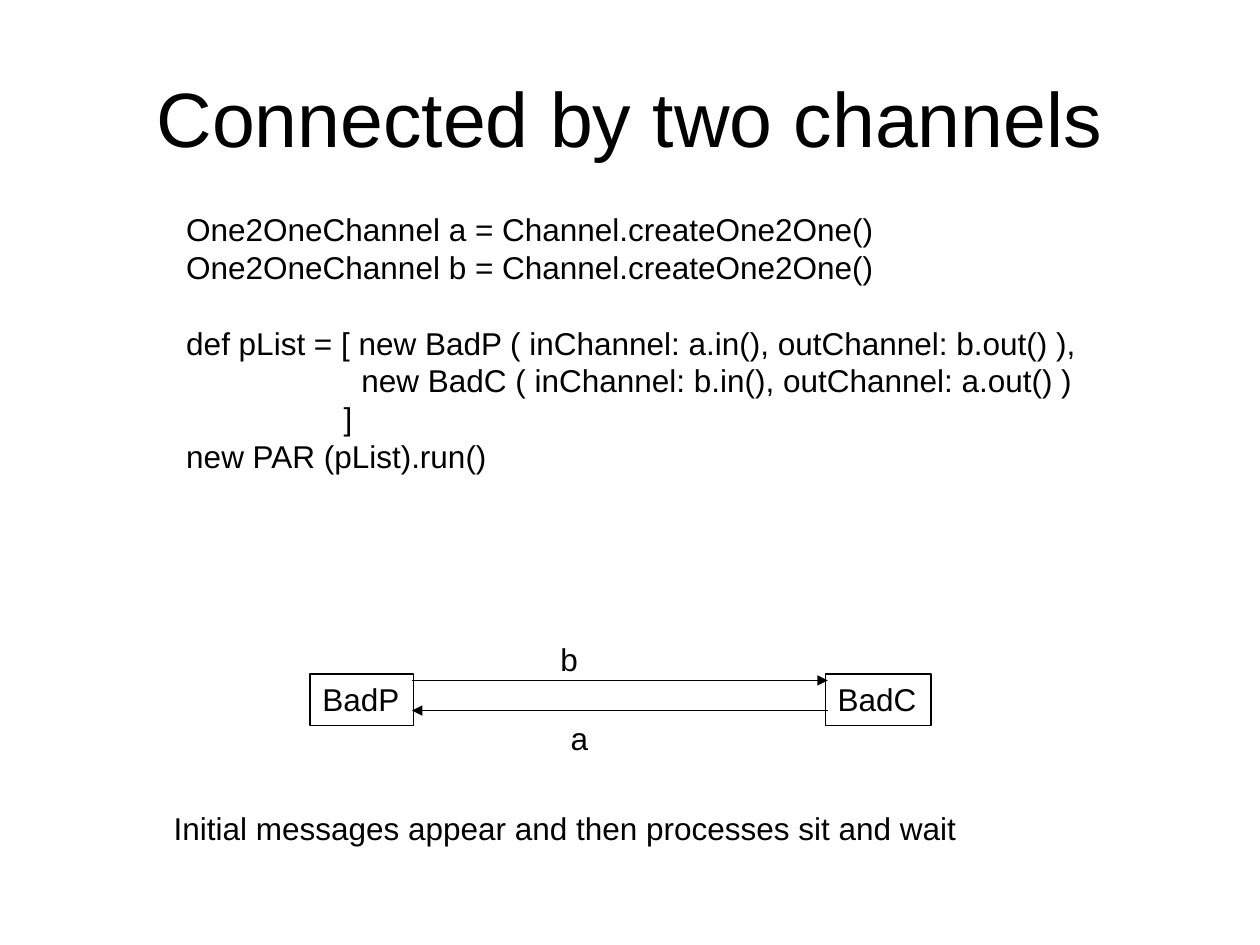
from dataclasses import dataclass

import lxml.etree
import pptx
import pptx.dml.color
import pptx.enum.shapes
import pptx.enum.text
import pptx.oxml.ns
import pptx.util

Inches = pptx.util.Inches
Pt = pptx.util.Pt
ALIGN = pptx.enum.text.PP_ALIGN
ANCHOR = pptx.enum.text.MSO_ANCHOR
FIT = pptx.enum.text.MSO_AUTO_SIZE

COLORS = {"ink": "000000", "paper": "FFFFFF"}
LINE_FACTOR = 1.2
BODY_SIZE = 18


@dataclass(frozen=True)
class Line:
    text: str
    indent: float = 0
    blank_before: int = 0


@dataclass(frozen=True)
class Block:
    left: float
    top: float
    width: float
    height: float
    lines: tuple[Line, ...]
    boxed: bool = False


@dataclass(frozen=True)
class Arrow:
    start: float
    end: float
    y: float


def color(key: str) -> pptx.dml.color.RGBColor:
    return pptx.dml.color.RGBColor.from_string(COLORS[key])


def apply(target: object, values: dict) -> None:
    for attribute, value in values.items():
        setattr(target, attribute, value)


def write(frame, lines: tuple[Line, ...], size: float, align=ALIGN.LEFT) -> None:
    pitch = Pt(size * LINE_FACTOR)
    for index, line in enumerate(lines):
        paragraph = frame.add_paragraph() if index else frame.paragraphs[0]
        apply(paragraph, {
            "alignment": align,
            "line_spacing": pitch,
            "space_before": pitch * line.blank_before,
        })
        if line.indent:
            paragraph._p.get_or_add_pPr().set("marL", str(Inches(line.indent)))
        run = paragraph.add_run()
        run.text = line.text
        apply(run.font, {"name": "Arial", "size": Pt(size)})
        run.font.color.rgb = color("ink")


def draw_block(slide, block: Block) -> None:
    bounds = [Inches(v) for v in (block.left, block.top, block.width, block.height)]
    if block.boxed:
        holder = slide.shapes.add_shape(pptx.enum.shapes.MSO_SHAPE.RECTANGLE, *bounds)
        holder.shadow.inherit = False
        holder.fill.background()
        holder.line.color.rgb = color("ink")
        holder.line.width = Pt(0.75)
    else:
        holder = slide.shapes.add_textbox(*bounds)
    apply(holder.text_frame, {
        "word_wrap": False,
        "auto_size": FIT.SHAPE_TO_FIT_TEXT,
        "vertical_anchor": ANCHOR.TOP,
    })
    write(holder.text_frame, block.lines, BODY_SIZE)


def draw_arrow(slide, arrow: Arrow) -> None:
    channel = slide.shapes.add_connector(
        pptx.enum.shapes.MSO_CONNECTOR.STRAIGHT,
        Inches(arrow.start), Inches(arrow.y), Inches(arrow.end), Inches(arrow.y),
    )
    channel.line.color.rgb = color("ink")
    channel.line.width = Pt(0.75)
    tip = lxml.etree.SubElement(channel.line._get_or_add_ln(), pptx.oxml.ns.qn("a:tailEnd"))
    tip.set("type", "triangle")
    lxml.etree.SubElement(channel._element.spPr, pptx.oxml.ns.qn("a:effectLst"))


CODE = (
    Line("One2OneChannel a = Channel.createOne2One()"),
    Line("One2OneChannel b = Channel.createOne2One()"),
    Line("def pList = [ new BadP ( inChannel: a.in(), outChannel: b.out() ),", blank_before=1),
    Line("new BadC ( inChannel: b.in(), outChannel: a.out() )", indent=1.39),
    Line("]", indent=1.25),
    Line("new PAR (pList).run()"),
)
BLOCKS = (
    Block(1.38, 1.62, 7.26, 2.2, CODE),
    Block(2.46, 5.35, 0.82, 0.41, (Line("BadP"),), boxed=True),
    Block(6.55, 5.35, 0.84, 0.41, (Line("BadC"),), boxed=True),
    Block(4.43, 5.66, 0.34, 0.4, (Line("a"),)),
    Block(4.35, 5.03, 0.34, 0.4, (Line("b"),)),
    Block(1.28, 6.37, 6.41, 0.4,
          (Line("Initial messages appear and then processes sit and wait"),)),
)
ARROWS = (Arrow(3.27, 6.57, 5.4), Arrow(6.57, 3.27, 5.64))

deck = pptx.Presentation()
apply(deck, {"slide_width": Inches(10), "slide_height": Inches(7.5)})
slide = deck.slides.add_slide(deck.slide_layouts[6])
slide.background.fill.solid()
slide.background.fill.fore_color.rgb = color("paper")

heading = slide.shapes.add_textbox(Inches(0.5), Inches(0.3), Inches(9), Inches(1.25))
apply(heading.text_frame, {"word_wrap": True, "vertical_anchor": ANCHOR.MIDDLE})
write(heading.text_frame, (Line("Connected by two channels"),), 44, ALIGN.CENTER)

for block in BLOCKS:
    draw_block(slide, block)
for arrow in ARROWS:
    draw_arrow(slide, arrow)

deck.save("out.pptx")
